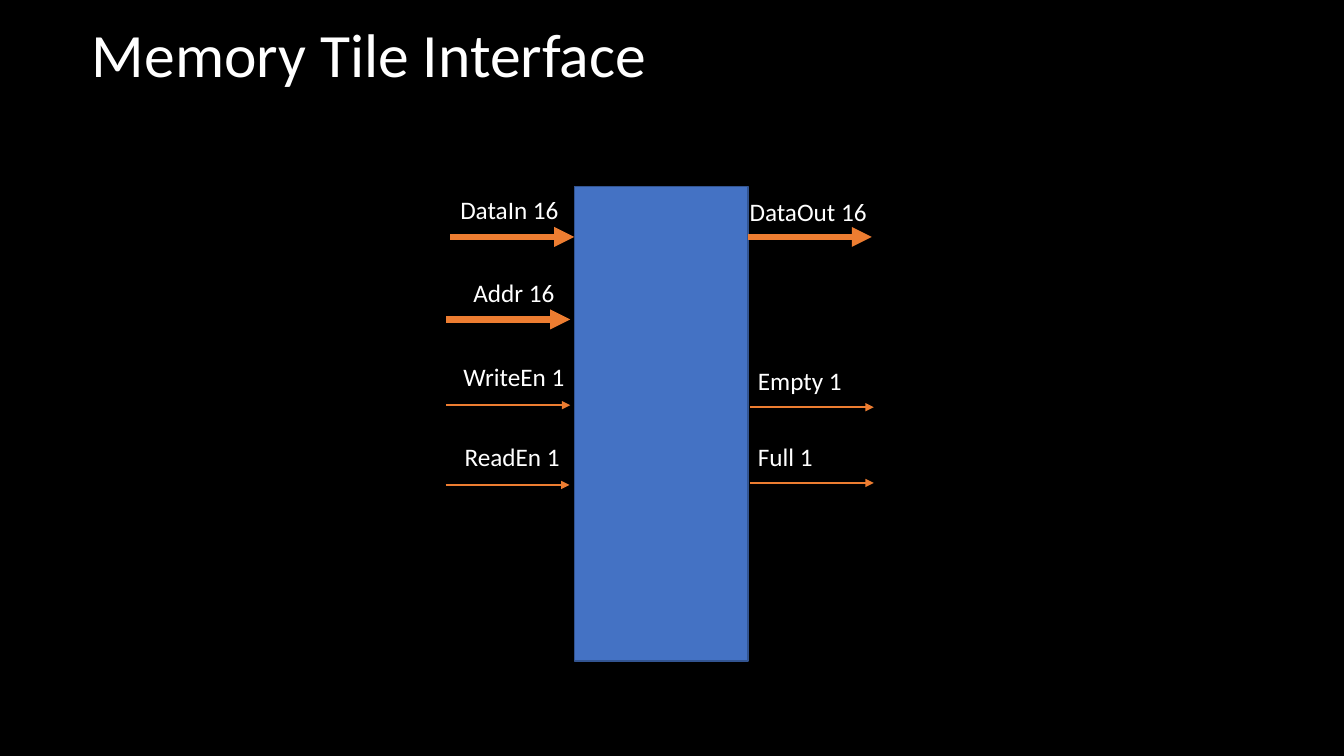
from dataclasses import dataclass

from lxml.etree import SubElement as Sub
from pptx import Presentation
from pptx.dml.color import RGBColor as RGB
from pptx.enum.shapes import MSO_CONNECTOR as Conn, MSO_SHAPE as Kind
from pptx.enum.text import MSO_ANCHOR as Anchor, MSO_AUTO_SIZE as Fit, PP_ALIGN as Align
from pptx.oxml.ns import qn
from pptx.util import Cm, Pt


@dataclass(frozen=True)
class Theme:
    back: RGB = RGB(0, 0, 0)
    text: RGB = RGB(255, 255, 255)
    tile: RGB = RGB(0x44, 0x72, 0xC4)
    edge: RGB = RGB(0x32, 0x54, 0x91)
    wire: RGB = RGB(0xED, 0x7D, 0x31)
    font: str = "Calibri"
    head: float = 44
    label: float = 18
    bus: float = 4.75
    bit: float = 1.5


LOOK = Theme()
REACH = 3.12  # length of every arrow, cm
HIGH = 1.02   # height of every label, cm

# name, bits, arrow start x and y, label left, top and width (cm)
PORTS = [
    ("DataIn", 16, 11.35, 5.97, 11.35, 4.78, 3.02),
    ("DataOut", 16, 18.85, 5.97, 18.64, 4.83, 3.51),
    ("Addr", 16, 11.25, 8.05, 11.68, 6.86, 2.59),
    ("WriteEn", 1, 11.25, 10.21, 11.43, 8.99, 3.07),
    ("Empty", 1, 18.9, 10.26, 18.85, 9.09, 2.64),
    ("ReadEn", 1, 11.23, 12.22, 11.46, 11, 2.95),
    ("Full", 1, 18.9, 12.17, 18.85, 11, 1.91),
]


def write(para, text, size):
    run = para.add_run()
    run.text = text
    run.font.name = LOOK.font
    run.font.size = Pt(size)
    run.font.color.rgb = LOOK.text


def add_title(slide, text):
    title = slide.shapes.title
    title.left, title.top, title.width, title.height = map(Cm, (2.06, -0.38, 29.21, 3.68))
    frame = title.text_frame
    frame.word_wrap = True
    frame.auto_size = Fit.NONE
    frame.vertical_anchor = Anchor.MIDDLE
    para = frame.paragraphs[0]
    para.alignment = Align.LEFT
    para.line_spacing = 0.9
    write(para, text, LOOK.head)


def add_tile(slide):
    tile = slide.shapes.add_shape(Kind.RECTANGLE, Cm(14.48), Cm(4.7), Cm(4.37), Cm(11.96))
    tile.shadow.inherit = False
    tile.fill.solid()
    tile.fill.fore_color.rgb = LOOK.tile
    tile.line.color.rgb = LOOK.edge
    tile.line.width = Pt(1)


def add_arrow(slide, left, top, width):
    wire = slide.shapes.add_connector(
        Conn.STRAIGHT, Cm(left), Cm(top), Cm(left + REACH), Cm(top))
    wire.line.color.rgb = LOOK.wire
    wire.line.width = Pt(width)
    Sub(wire.line._get_or_add_ln(), qn("a:tailEnd"), type="triangle")
    Sub(wire._element.spPr, qn("a:effectLst"))


def add_label(slide, text, left, top, width):
    box = slide.shapes.add_textbox(Cm(left), Cm(top), Cm(width), Cm(HIGH))
    frame = box.text_frame
    frame.word_wrap = False
    frame.auto_size = Fit.SHAPE_TO_FIT_TEXT
    write(frame.paragraphs[0], text, LOOK.label)


def main():
    deck = Presentation()
    deck.slide_width, deck.slide_height = Cm(33.87), Cm(19.05)
    slide = deck.slides.add_slide(deck.slide_layouts[5])
    slide.background.fill.solid()
    slide.background.fill.fore_color.rgb = LOOK.back

    # Heading and memory block
    add_title(slide, "Memory Tile Interface")
    add_tile(slide)

    # Ports: a wide arrow for a bus, a thin one for a single bit
    for name, bits, start, row, left, top, width in PORTS:
        add_arrow(slide, start, row, LOOK.bus if bits > 1 else LOOK.bit)
        add_label(slide, f"{name} {bits}", left, top, width)

    deck.save("out.pptx")


main()
